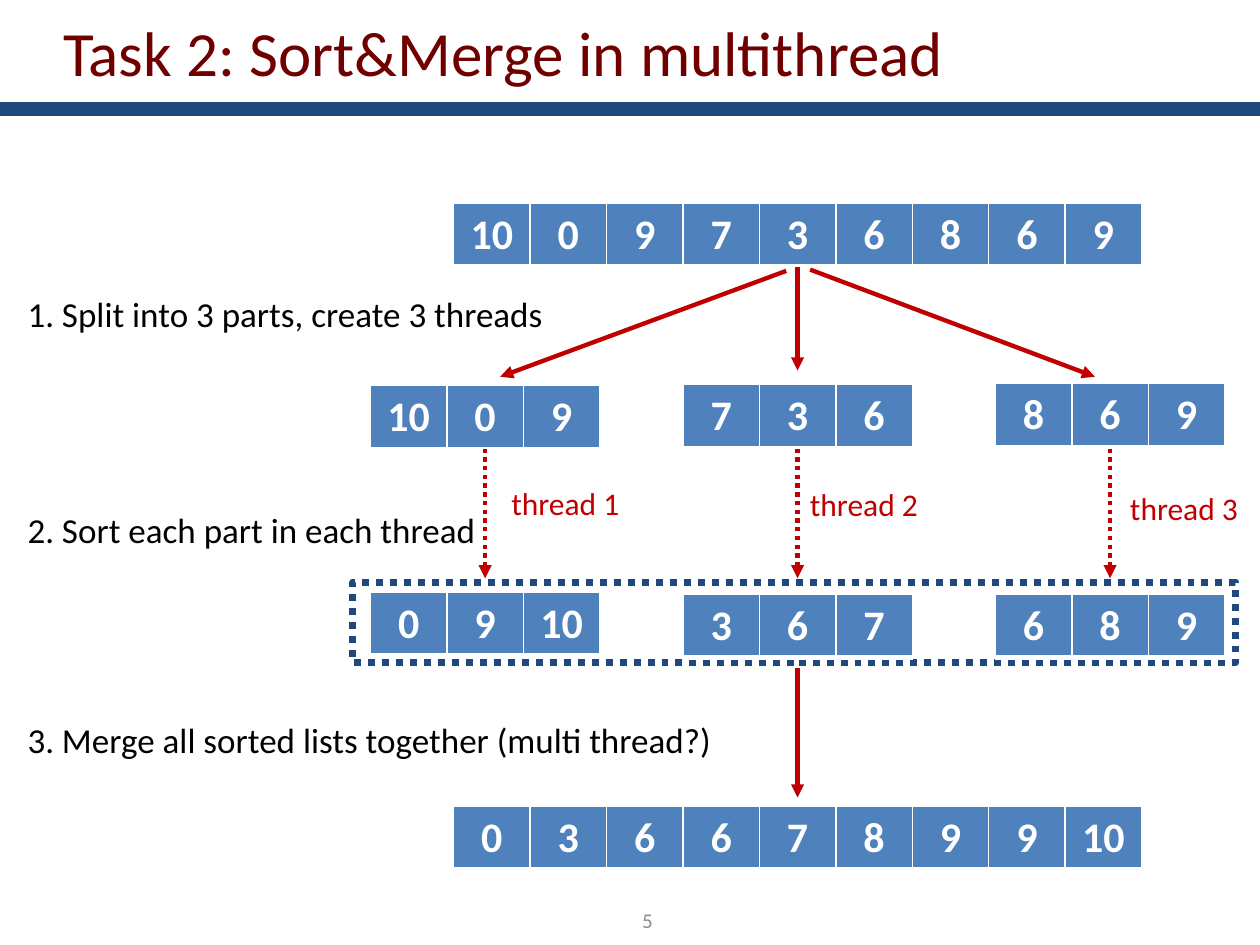
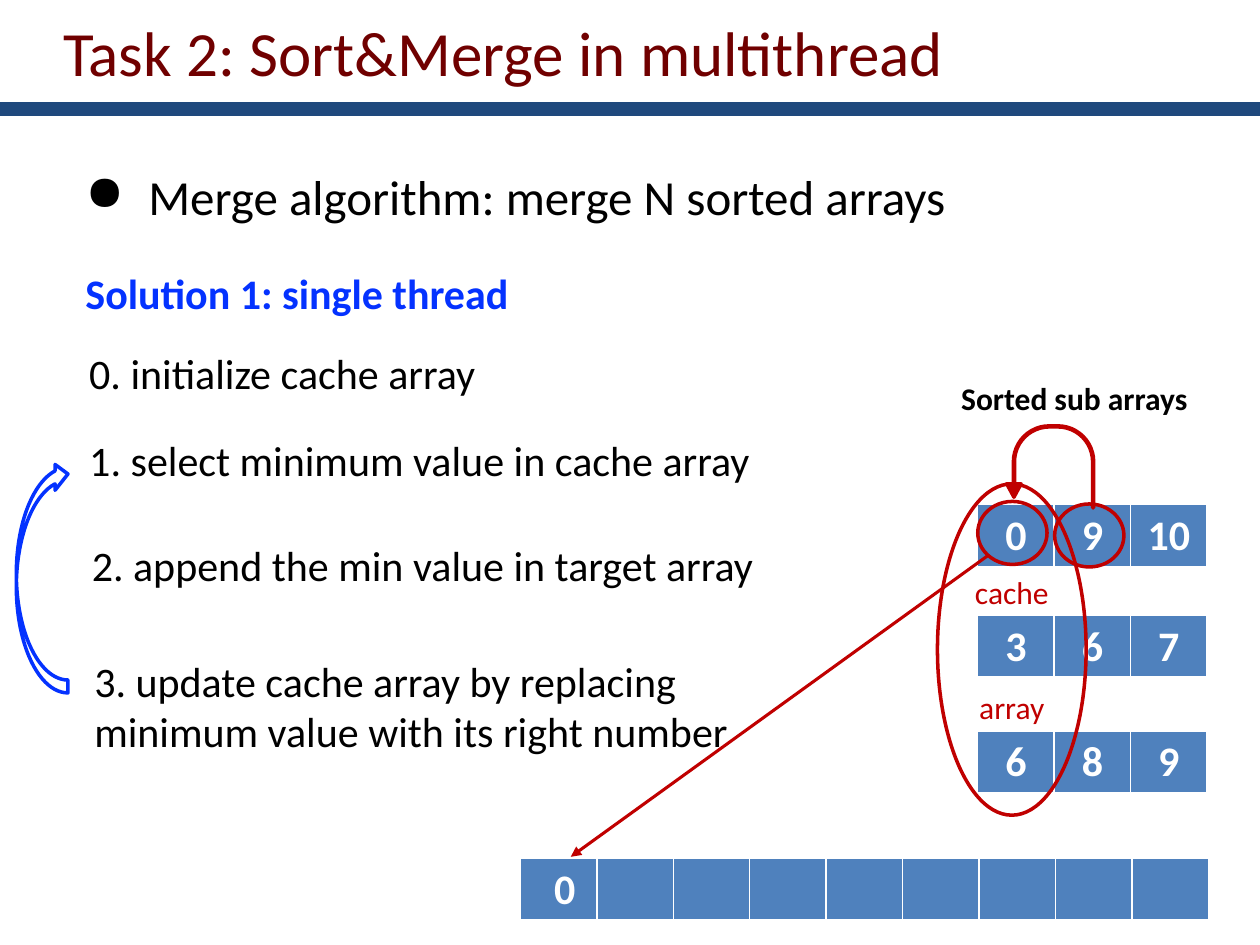
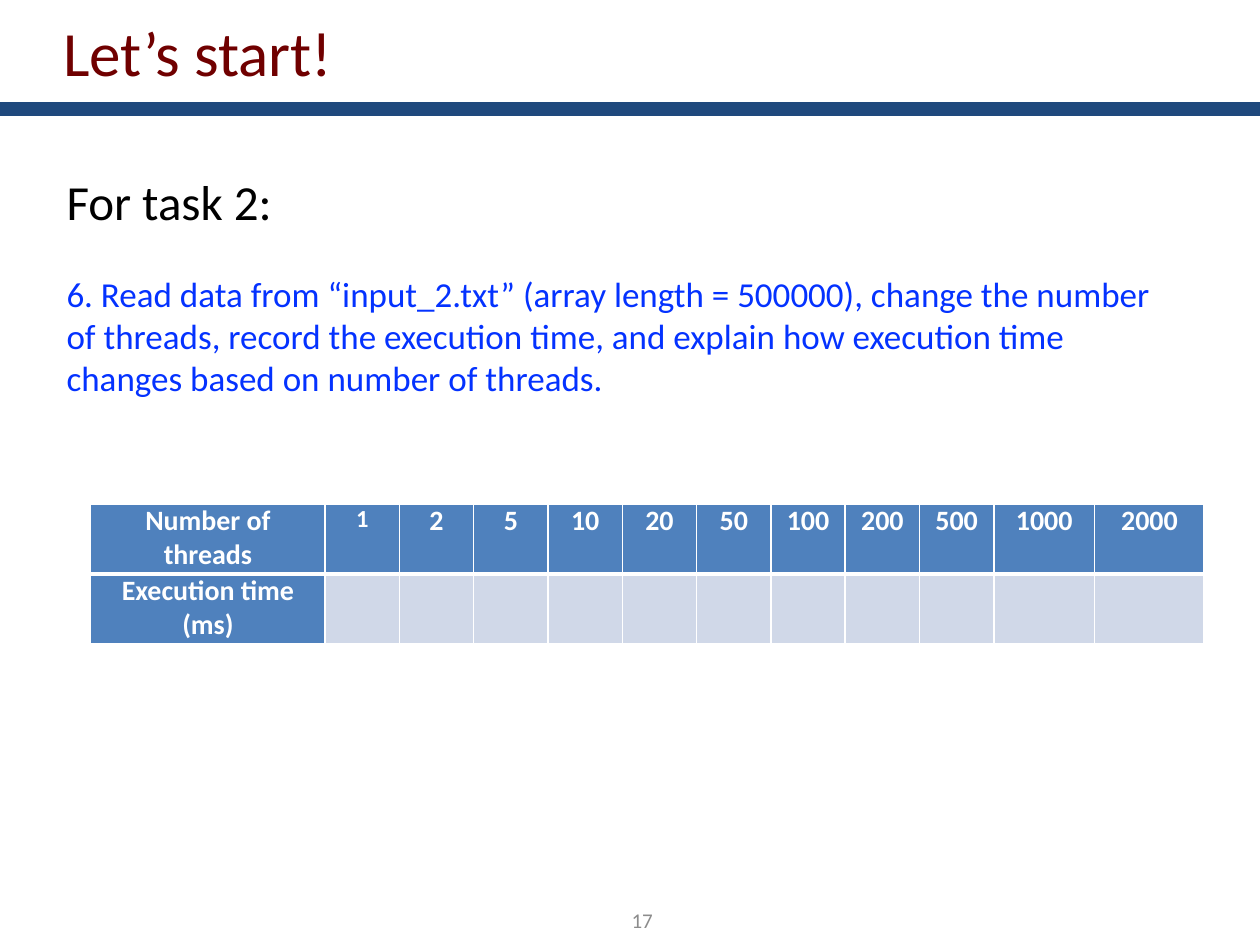
from dataclasses import dataclass

from lxml import etree
import pptx
import pptx.dml.color
import pptx.enum.dml
import pptx.enum.shapes
import pptx.enum.text
import pptx.oxml.ns
import pptx.util

MSO = pptx.enum.shapes.MSO_SHAPE
ALIGN = pptx.enum.text.PP_ALIGN
ANCHOR = pptx.enum.text.MSO_ANCHOR
FIT = pptx.enum.text.MSO_AUTO_SIZE
DOTTED = pptx.enum.dml.MSO_LINE.ROUND_DOT
qn = pptx.oxml.ns.qn


@dataclass(frozen=True)
class Theme:
    font: str = "Calibri"
    title: str = "700000"
    navy: str = "1F497D"
    cell: str = "4F81BD"
    pale: str = "D0D8E8"
    red: str = "C00000"
    blue: str = "0432FF"
    black: str = "000000"
    white: str = "FFFFFF"
    gray: str = "8C8C8C"
    title_size: int = 36
    lead_size: int = 28
    large: int = 24
    body: int = 20
    label: int = 18
    table: int = 16
    small: int = 14
    note: int = 12


T = Theme()
COLS, ROWS = 100, 75   # slide grid
CELL, CELL_H = 6.07, 5  # one array cell


@dataclass
class Para:
    text: str
    size: int = T.body
    color: str = T.black
    bold: bool = False
    align: ALIGN = ALIGN.LEFT
    before: int = 0
    bullet: str = ""


def rgb(color):
    return pptx.dml.color.RGBColor.from_string(color)


class Deck:
    """Holds the style and the current slide; lengths are grid columns and rows."""

    def __init__(self):
        self.prs = pptx.Presentation()
        self.prs.slide_width = pptx.util.Inches(10)
        self.prs.slide_height = pptx.util.Inches(7.5)
        self.layout = self.prs.slide_layouts[5]
        self.s = None

    def x(self, cols):
        return round(self.prs.slide_width * cols / COLS)

    def y(self, rows):
        return round(self.prs.slide_height * rows / ROWS)

    def area(self, left, top, width, height):
        return self.x(left), self.y(top), self.x(width), self.y(height)

    def slide(self, title, number=None):
        self.s = self.prs.slides.add_slide(self.layout)
        if len(self.prs.slides) == 1:  # the band is shared through the layout
            band = self.shape(MSO.RECTANGLE, (0, 8.1, COLS, 1.1), fill=T.navy)
            self.layout.placeholders[0].element.addprevious(band.element)
        sp = self.s.shapes.title
        sp.left, sp.top, sp.width, sp.height = self.area(4, 1.7, 85.3, 4.8)
        sp.text_frame.auto_size = FIT.NONE
        self.add_paras(sp.text_frame, [Para(title, T.title_size, T.title)], ANCHOR.MIDDLE)
        if number:
            para = Para(number, T.note, T.gray, align=ALIGN.RIGHT)
            self.text((45.3, 71, 7.5, 4), [para], wrap=True, anchor=ANCHOR.MIDDLE)

    def add_paras(self, tf, paras, anchor=ANCHOR.TOP):
        tf.vertical_anchor = anchor
        for i, para in enumerate(paras):
            p = tf.add_paragraph() if i else tf.paragraphs[0]
            p.alignment = para.align
            p.space_before = pptx.util.Pt(para.before)
            if para.bullet:
                pPr = p._p.get_or_add_pPr()
                indent = pptx.util.Inches(0.5)
                pPr.set("marL", str(indent))
                pPr.set("indent", str(-indent))
                etree.SubElement(pPr, qn("a:buChar")).set("char", para.bullet)
            r = p.add_run()
            r.text = para.text
            r.font.name, r.font.size = T.font, pptx.util.Pt(para.size)
            r.font.bold, r.font.color.rgb = para.bold, rgb(para.color)

    def text(self, area, paras, wrap=False, anchor=ANCHOR.TOP):
        tf = self.s.shapes.add_textbox(*self.area(*area)).text_frame
        tf.word_wrap = wrap
        tf.auto_size = FIT.NONE if wrap else FIT.SHAPE_TO_FIT_TEXT
        self.add_paras(tf, paras, anchor)

    def stroke(self, line, color, width, dash=None):
        line.color.rgb = rgb(color)
        line.width = pptx.util.Pt(width)
        if dash:
            line.dash_style = dash

    def shape(self, kind, area, fill=None, line=None, width=2, dash=None,
              flip="", adj=(), paras=()):
        sp = self.s.shapes.add_shape(kind, *self.area(*area))
        sp.shadow.inherit = False
        if fill:
            sp.fill.solid()
            sp.fill.fore_color.rgb = rgb(fill)
        else:
            sp.fill.background()
        if line:
            self.stroke(sp.line, line, width, dash)
        else:
            sp.line.fill.background()
        for i, value in enumerate(adj):
            sp.adjustments[i] = value
        for axis in flip:
            sp.element.spPr.find(qn("a:xfrm")).set("flip" + axis, "1")
        if paras:
            self.add_paras(sp.text_frame, paras, ANCHOR.MIDDLE)
        return sp

    def arrow(self, start, end, width=2.5, dash=None):
        c = self.s.shapes.add_connector(
            pptx.enum.shapes.MSO_CONNECTOR.STRAIGHT,
            self.x(start[0]), self.y(start[1]), self.x(end[0]), self.y(end[1]))
        self.stroke(c.line, T.red, width, dash)
        spPr = c.element.spPr
        etree.SubElement(spPr.find(qn("a:ln")), qn("a:tailEnd")).set("type", "triangle")
        etree.SubElement(spPr, qn("a:effectLst"))

    def borders(self, cell, widths):
        tcPr = cell._tc.get_or_add_tcPr()
        for i, (side, width) in enumerate(widths.items()):
            ln = etree.Element(qn("a:ln" + side), w=str(pptx.util.Pt(width)))
            fill = etree.SubElement(ln, qn("a:solidFill"))
            etree.SubElement(fill, qn("a:srgbClr")).set("val", T.white)
            tcPr.insert(i, ln)

    def table(self, left, top, widths, height, rows, fill_of, size_of, inset=None):
        """Draw rows of centred bold text; fill_of and size_of take row and column."""
        area = self.area(left, top, sum(widths), height * len(rows))
        table = self.s.shapes.add_table(len(rows), len(widths), *area).table
        table.first_row = table.horz_banding = False
        for column, width in zip(table.columns, widths):
            column.width = self.x(width)
        for i, row in enumerate(rows):
            table.rows[i].height = self.y(height)
            for j, value in enumerate(row):
                cell = table.cell(i, j)
                cell.fill.solid()
                cell.fill.fore_color.rgb = rgb(fill_of(i, j))
                self.borders(cell, {"L": 1, "R": 1, "T": 3 if i else 1, "B": 1 if i else 3})
                if inset is not None:
                    cell.margin_left = cell.margin_right = self.x(inset)
                    cell.margin_top = cell.margin_bottom = 0
                if value:
                    self.add_paras(cell.text_frame, [Para(value, size_of(i, j), T.white,
                                                          True, ALIGN.CENTER)])

    def array(self, left, top, values):
        self.table(left, top, [CELL] * len(values), CELL_H, [values],
                   lambda i, j: T.cell, lambda i, j: T.large)


def split_and_merge(d):
    d.slide("Task 2: Sort&Merge in multithread", "5")
    first, pitch, middle = 29.4, 24.8, 63.3
    lefts = [first + pitch * i for i in range(3)]
    centers = [middle + pitch * (i - 1) for i in range(3)]

    # Input array and its three parts
    d.array(36, 16.1, "10 0 9 7 3 6 8 6 9".split())
    for left, top, values in zip(lefts, (30.6, 30.5, 30.4), ("10 0 9", "7 3 6", "8 6 9")):
        d.array(left, top, values.split())
    d.shape(MSO.RECTANGLE, (28, 46.2, 70.1, 6.4), line=T.navy, width=4, dash=DOTTED)

    # Split, sort and merge arrows
    d.arrow((62.4, 21.5), (39.7, 29.9))
    d.arrow((middle, 21.2), (middle, 29.4))
    d.arrow((64.3, 21.4), (86.9, 29.9))
    for center in centers:
        d.arrow((center, 35.6), (center, 45.9), dash=DOTTED)
    d.arrow((middle, 53), (middle, 63.3))

    # Steps
    steps = (("1. Split into 3 parts, create 3 threads", 22.7, 44.1),
             ("2. Sort each part in each thread", 39.9, 37.9),
             ("3. Merge all sorted lists together (multi thread?)", 56.5, 56.9))
    for step, top, width in steps:
        d.text((1.2, top, width, 4.4), [Para(step)])

    # Sorted parts and merged array
    for left, top, values in zip(lefts, (47, 47.2, 47.2), ("0 9 10", "3 6 7", "6 8 9")):
        d.array(left, top, values.split())
    d.array(36, 64, "0 3 6 6 7 8 9 9 10".split())
    for i, (left, top) in enumerate(((39.6, 37.9), (63.3, 38), (88.7, 38.3)), 1):
        d.text((left, top, 10.7, 4), [Para(f"thread {i}", T.label, T.red)])


def single_thread(d):
    d.slide("Task 2: Sort&Merge in multithread")
    d.text((5.8, 12.7, 86.6, 13.1), [
        Para("Merge algorithm: merge N sorted arrays", T.lead_size, bullet="●"),
        Para("Solution 1: single thread", T.large, T.blue, True, before=24)], wrap=True)

    # Sorted sub arrays with the cache column
    for top, values in ((40, "0 9 10"), (48.8, "3 6 7"), (58, "6 8 9")):
        d.array(77.6, top, values.split())
    d.text((75.3, 29.6, 20.1, 4), [Para("Sorted sub arrays", T.label, bold=True)])
    d.shape(MSO.OVAL, (74.4, 38.4, 11.8, 26.3), line=T.red, paras=[
        Para("cache", T.label, T.red, align=ALIGN.CENTER),
        Para("array", T.label, T.red, align=ALIGN.CENTER, before=44)])

    # Target array receives the minimum
    d.array(41.3, 68.1, [""] * 9)
    d.arrow((78.4, 44.1), (45.3, 68), width=1.75)
    d.text((43, 68, 2.3, 5), [Para("0", T.large, T.white, True)], wrap=True)

    # Replacement of the minimum by its right neighbour
    for left, top in ((77.6, 39.8), (83.7, 40)):
        d.shape(MSO.OVAL, (left, top, 5.5, 5), line=T.red)
    d.shape(MSO.U_TURN_ARROW, (79.9, 33.8, 6.9, 6.5), fill=T.red, line=T.red,
            flip="H", adj=(0.013, 0.088, 0.163, 0.438, 0.871))

    # Steps and the loop back
    steps = ((6.1, 27.1, 33, ["0. initialize cache array"]),
             (6.1, 34, 55.8, ["1. select minimum value in cache array"]),
             (6.3, 42.3, 55.8, ["2. append the min value in target array"]),
             (6.5, 51.5, 52.7, ["3. update cache array by replacing",
                                "minimum value with its right number"]))
    for left, top, width, lines in steps:
        d.text((left, top, width, 1 + 4 * len(lines)),
               [Para(line, T.large) for line in lines])
    d.shape(MSO.CURVED_LEFT_ARROW, (1.3, 36.6, 4.1, 18.4), line=T.blue, flip="HV")


def measurements(d):
    d.slide("Let’s start!", "17")
    d.text((4.3, 13.1, 90.6, 23.9), [
        Para("For task 2:", T.lead_size),
        Para("6. Read data from “input_2.txt” (array length = 500000), change the number "
             "of threads, record the execution time, and explain how execution time "
             "changes based on number of threads.", color=T.blue, before=24)], wrap=True)

    # Execution times to fill in
    threads = "1 2 5 10 20 50 100 200 500 1000 2000".split()
    rows = [["Number of threads", *threads],
            ["Execution time (ms)"] + [""] * len(threads)]
    d.table(7.2, 40, [18.6] + [5.9] * 9 + [8, 8.7], 5.56, rows,
            lambda i, j: T.pale if i and j else T.cell,
            lambda i, j: T.small if (i, j) == (0, 1) else T.table, inset=0.7)


def main():
    d = Deck()
    split_and_merge(d)
    single_thread(d)
    measurements(d)
    d.prs.save("out.pptx")


if __name__ == "__main__":
    main()
